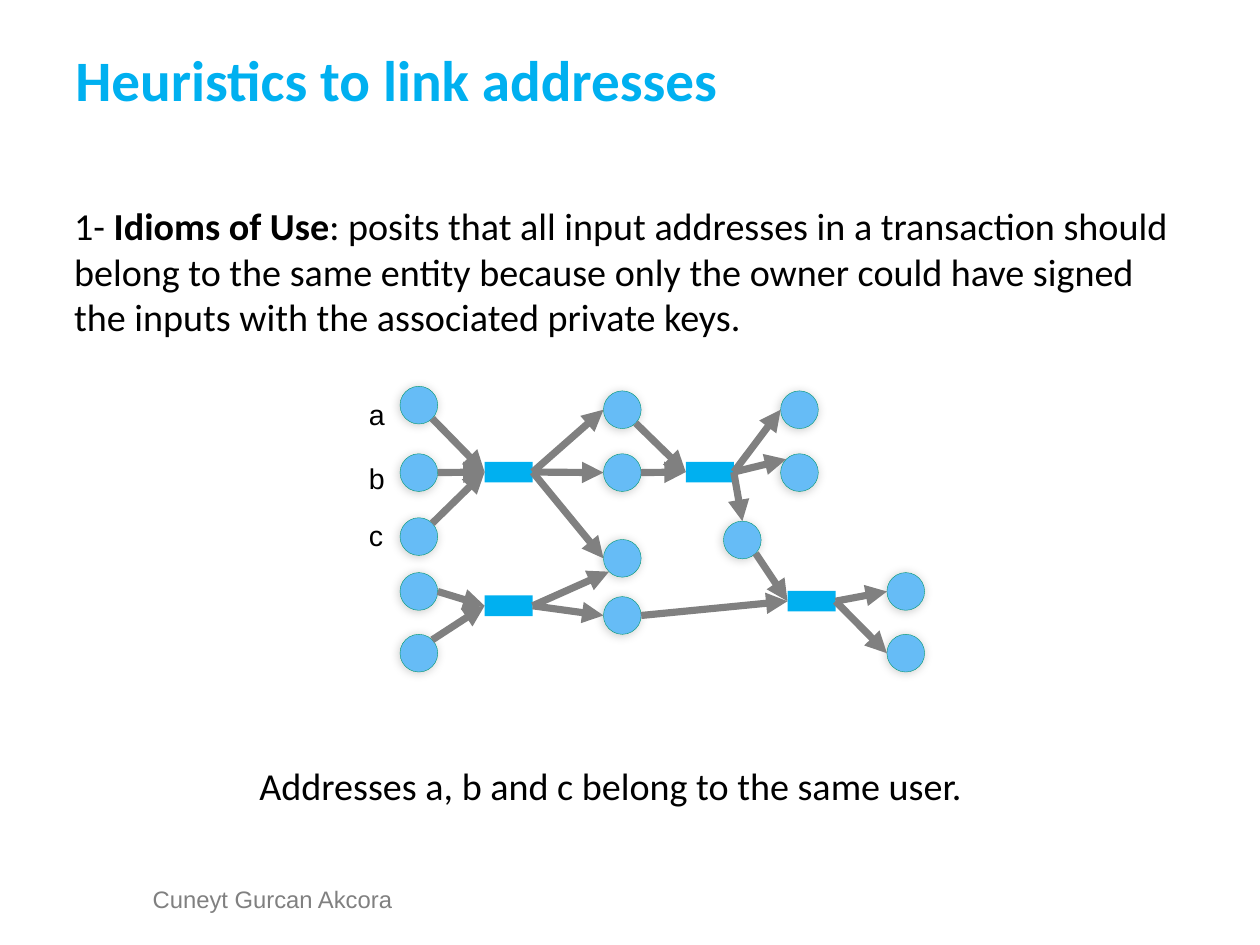
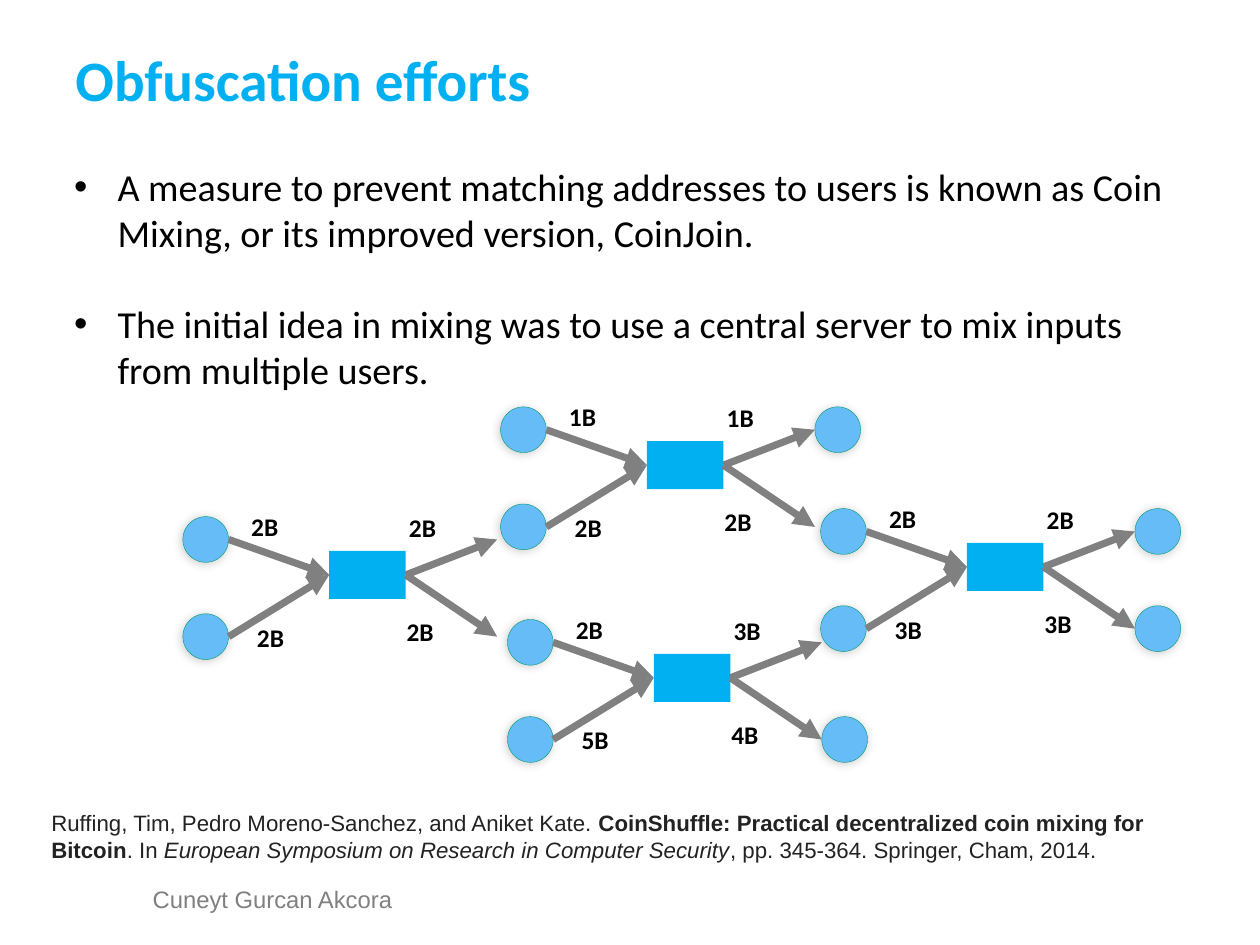
import math

import pptx
import pptx.dml.color
import pptx.enum.shapes
import pptx.enum.text
import pptx.util
from lxml import etree
from pptx.oxml.ns import qn
from pptx.util import Inches

SKY = "00B0F0"
NODE_FILL = "66BCF6"
NODE_LINE = "009771"
GREY = "808080"
BLACK = "000000"
CITATION = "222222"
LEFT, RIGHT = 1, 3  # connection sites of a rectangle
SHAPE = pptx.enum.shapes.MSO_SHAPE
ALIGN = pptx.enum.text.PP_ALIGN
ANCHOR = pptx.enum.text.MSO_ANCHOR


def color(value):
    return pptx.dml.color.RGBColor.from_string(value)


def add_text(shapes, box, paragraphs, size, font="Calibri", ink=BLACK, wrap=True, inset=0.1):
    """Add a text box; each paragraph is a list of (text, style) runs, style using b and i."""
    frame = shapes.add_textbox(*map(Inches, box)).text_frame
    frame.word_wrap = wrap
    frame.margin_left = frame.margin_right = Inches(inset)
    for index, runs in enumerate(paragraphs):
        para = frame.paragraphs[0] if index == 0 else frame.add_paragraph()
        for text, style in runs:
            span = para.add_run()
            span.text = text
            span.font.name = font
            span.font.size = pptx.util.Pt(size)
            span.font.color.rgb = color(ink)
            span.font.bold = "b" in style
            span.font.italic = "i" in style
    return frame


def add_bullets(frame, indent, gap):
    for index, para in enumerate(frame.paragraphs):
        properties = para._p.get_or_add_pPr()
        properties.set("marL", str(Inches(indent)))
        properties.set("indent", str(-Inches(indent)))
        etree.SubElement(properties, qn("a:buFont"), typeface="Arial")
        etree.SubElement(properties, qn("a:buChar"), char="•")
        if index:
            para.space_before = pptx.util.Pt(gap)


def add_address(shapes, x, y, size):
    """Draw one address as a circle with a soft shadow."""
    circle = shapes.add_shape(SHAPE.OVAL, *map(Inches, (x, y, size, size)))
    circle.fill.solid()
    circle.fill.fore_color.rgb = color(NODE_FILL)
    circle.line.color.rgb = color(NODE_LINE)
    circle.line.width = pptx.util.Pt(0.25)
    circle.shadow.inherit = False
    effects = circle._element.spPr.find(qn("a:effectLst"))
    shadow = etree.SubElement(effects, qn("a:outerShdw"), blurRad=str(pptx.util.Pt(6)),
                              dist=str(pptx.util.Pt(1)), dir=str(135 * 60000), rotWithShape="0")
    tint = etree.SubElement(shadow, qn("a:srgbClr"), val=BLACK)
    etree.SubElement(tint, qn("a:alpha"), val="20000")
    return circle


def add_transaction(shapes, x, y, width, height):
    block = shapes.add_shape(SHAPE.RECTANGLE, *map(Inches, (x, y, width, height)))
    block.fill.solid()
    block.fill.fore_color.rgb = color(SKY)
    block.line.fill.background()
    block.shadow.inherit = False
    return block


def rim_point(circle, degrees):
    """Point on the circle's rim; 0 is right and angles run clockwise."""
    radius = circle.width / 2
    angle = math.radians(degrees)
    return (round(circle.left + radius + radius * math.cos(angle)),
            round(circle.top + radius + radius * math.sin(angle)))


def add_flow(shapes, block, site, point):
    """Arrow from the point into the block's left side, or from its right side to the point."""
    side = (block.left + (block.width if site == RIGHT else 0), block.top + block.height // 2)
    start, end = (side, point) if site == RIGHT else (point, side)
    arrow = shapes.add_connector(pptx.enum.shapes.MSO_CONNECTOR.STRAIGHT, *start, *end)
    join = arrow.begin_connect if site == RIGHT else arrow.end_connect
    join(block, site)
    arrow.line.color.rgb = color(GREY)
    arrow.line.width = pptx.util.Pt(4.5)
    etree.SubElement(arrow.line._get_or_add_ln(), qn("a:tailEnd"), type="triangle")
    etree.SubElement(arrow._element.spPr, qn("a:effectLst"))


def add_page(deck, title):
    """Blank page with the shared title and footer."""
    page = deck.slides.add_slide(deck.slide_layouts[6])
    footer = add_text(page.shapes, (1.27, 7.75, 2.17, 0.37), [[(" Cuneyt Gurcan Akcora", "")]],
                      15, "Arial", GREY, inset=0)
    footer.margin_top = Inches(0.01)
    footer.margin_bottom = 0
    footer.paragraphs[0].alignment = ALIGN.CENTER
    footer.paragraphs[0].line_spacing = 0.93
    heading = add_text(page.shapes, (0.55, 0, 9.92, 1.38), [[(title, "b")]], 36, ink=SKY,
                       inset=0.11)
    heading.vertical_anchor = ANCHOR.MIDDLE
    return page


def add_network(page, left, top):
    """Linked transactions, placed from the left and top of the network."""
    shapes = page.shapes.add_group_shape().shapes
    address_places = {
        "a": (0.37, 0), "b": (0.37, 0.59), "c": (0.37, 1.15),
        "d": (0.37, 1.63), "e": (0.37, 2.17),
        "f": (2.15, 0.04), "g": (2.15, 0.59), "h": (2.15, 1.34), "i": (2.15, 1.84),
        "j": (3.7, 0.04), "k": (3.7, 0.59), "l": (3.2, 1.18),
        "m": (4.63, 1.63), "n": (4.63, 2.17),
    }
    transaction_places = {"t1": (1.11, 0.66), "t2": (1.11, 1.83),
                          "t3": (2.87, 0.66), "t4": (3.76, 1.79)}
    inputs = [("a", 45, "t1"), ("b", 0, "t1"), ("c", -45, "t1"),
              ("d", 0, "t2"), ("e", -45, "t2"),
              ("f", 45, "t3"), ("g", 0, "t3"),
              ("i", 0, "t4"), ("l", 45, "t4")]
    outputs = [("f", 180, "t1"), ("g", 180, "t1"), ("h", 180, "t1"),
               ("h", 135, "t2"), ("i", 180, "t2"),
               ("j", 180, "t3"), ("k", 225, "t3"), ("l", -90, "t3"),
               ("m", 180, "t4"), ("n", 180, "t4")]
    addresses = {name: add_address(shapes, left + x, top + y, 0.33)
                 for name, (x, y) in address_places.items()}
    transactions = {name: add_transaction(shapes, left + x, top + y, 0.42, 0.18)
                    for name, (x, y) in transaction_places.items()}
    for site, flows in ((LEFT, inputs), (RIGHT, outputs)):
        for address, degrees, transaction in flows:
            add_flow(shapes, transactions[transaction], site,
                     rim_point(addresses[address], degrees))
    for name, y in (("a", 0.04), ("b", 0.6), ("c", 1.1)):
        add_text(page.shapes, (left, top + y, 0.34, 0.4), [[(name, "")]], 18, "Arial",
                 wrap=False)


def add_mixer(page, left, top, amounts, ends):
    """One mixing step; ends names the output rows (0 upper, 1 lower) that show a circle."""
    shapes = page.shapes
    size, row_gap, output_x = 0.4, 0.85, 2.75
    block = add_transaction(shapes, left + 1.28, top + 0.3, 0.67, 0.42)
    for row in (0, 1):
        y = top + row * row_gap
        source = add_address(shapes, left, y, size)
        add_flow(shapes, block, LEFT, rim_point(source, 0))
        if row in ends:
            add_address(shapes, left + output_x, y, size)
        add_flow(shapes, block, RIGHT, (Inches(left + output_x), Inches(y + size / 2)))
    label_places = ((0.5, -0.1), (0.55, 0.87), (1.88, -0.09), (1.86, 0.82))
    for amount, (x, y) in zip(amounts, label_places):
        add_text(shapes, (left + x, top + y, 0.7, 0.37), [[(amount, "b")]], 16)


def build_heuristics(deck):
    page = add_page(deck, "Heuristics to link addresses")
    add_text(page.shapes, (0.55, 1.72, 9.92, 1.31), [[
        ("1- ", ""),
        ("Idioms of Use", "b"),
        (": posits that all input addresses in a transaction should belong to the same entity "
         "because only the owner could have signed the inputs with the associated private keys.",
         ""),
    ]], 24)
    add_network(page, 3.13, 3.38)
    add_text(page.shapes, (2.16, 6.62, 6.7, 0.8),
             [[("Addresses a, b and c belong to the same user.", "")]], 24, inset=0.11)


def build_obfuscation(deck):
    page = add_page(deck, "Obfuscation efforts")
    body = add_text(page.shapes, (0.55, 1.38, 9.92, 2.52), [
        [("A measure to prevent matching addresses to users is known as Coin Mixing, "
          "or its improved version, CoinJoin.", "")],
        [("The initial idea in mixing was to use a central server to mix inputs "
          "from multiple users.", "")],
    ], 24)
    add_bullets(body, 0.38, 29)
    mixers = [
        (1.6, 4.52, ("2B", "2B", "2B", "2B"), ()),
        (4.44, 5.42, ("2B", "5B", "3B", "4B"), (1,)),
        (4.38, 3.56, ("1B", "2B", "1B", "2B"), (0,)),
        (7.18, 4.45, ("2B", "3B", "2B", "3B"), (0, 1)),
    ]
    for mixer in mixers:
        add_mixer(page, *mixer)
    add_text(page.shapes, (0.35, 7.03, 10.42, 0.57), [[
        ("Ruffing, Tim, Pedro Moreno-Sanchez, and Aniket Kate. ", ""),
        ("CoinShuffle: Practical decentralized coin mixing for Bitcoin", "b"),
        (". In ", ""),
        ("European Symposium on Research in Computer Security", "i"),
        (", pp. 345-364. Springer, Cham, 2014.", ""),
    ]], 14, "Arial", CITATION)


def main():
    deck = pptx.Presentation()
    deck.slide_width = pptx.util.Cm(28)
    deck.slide_height = pptx.util.Cm(21)
    build_heuristics(deck)
    build_obfuscation(deck)
    deck.save("out.pptx")


if __name__ == "__main__":
    main()
